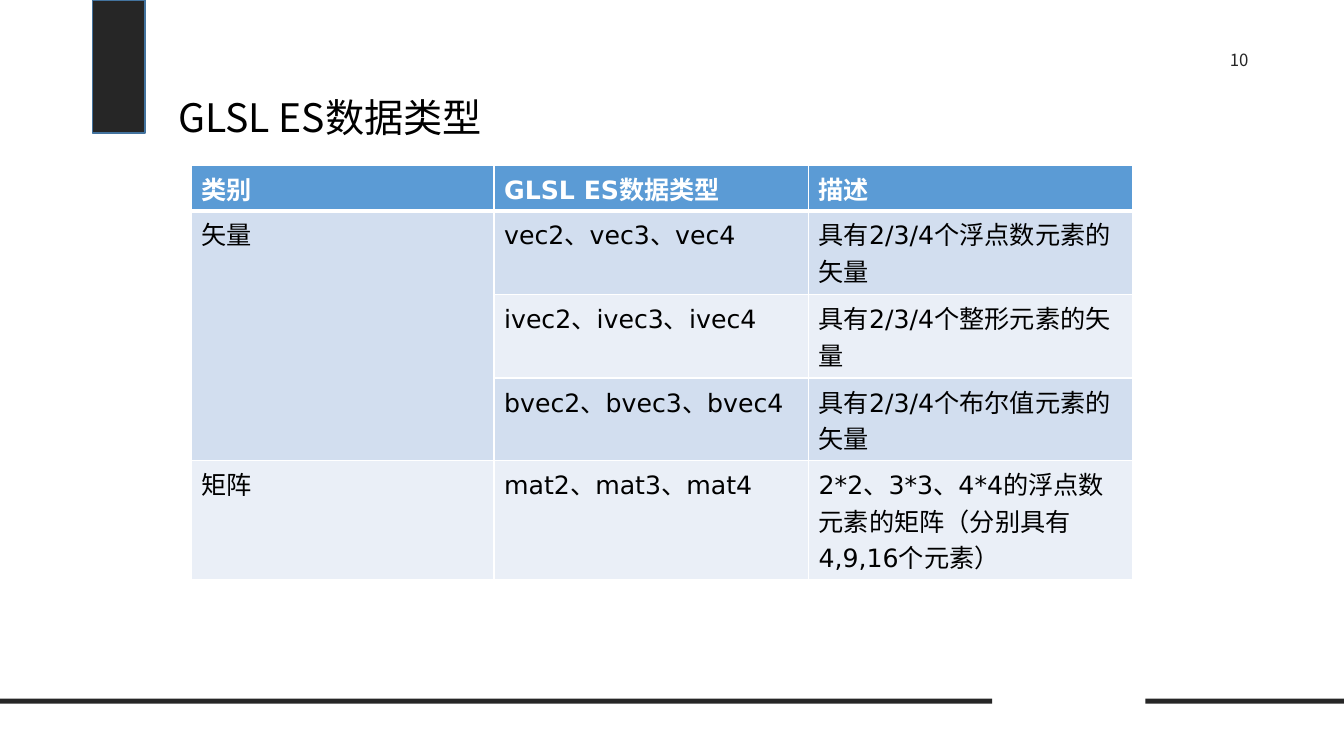
from lxml import etree
from pptx import Presentation
from pptx.dml.color import RGBColor
from pptx.enum import shapes, text
from pptx.oxml.ns import qn
from pptx.util import Inches, Pt

DARK = RGBColor(0x26, 0x26, 0x26)
TAB_EDGE = RGBColor(0x43, 0x73, 0x9E)
BLACK = RGBColor(0, 0, 0)
WHITE = RGBColor(0xFF, 0xFF, 0xFF)
HEADER = RGBColor(0x5B, 0x9B, 0xD5)
BANDS = (RGBColor(0xD2, 0xDE, 0xEF), RGBColor(0xEA, 0xEF, 0xF7))

CHINESE_FONT = "Noto Sans CJK SC"
TABLE_FONT = "DejaVu Sans"

COLUMN_WIDTHS = (3, 3.12, 3.21)
ROW_HEIGHTS = (0.45, 0.83, 0.83, 0.82, 1.18)
ROWS = (
    ("类别", "GLSL ES数据类型", "描述"),
    ("矢量", "vec2、vec3、vec4", "具有2/3/4个浮点数元素的矢量"),
    ("", "ivec2、ivec3、ivec4", "具有2/3/4个整形元素的矢量"),
    ("", "bvec2、bvec3、bvec4", "具有2/3/4个布尔值元素的矢量"),
    ("矩阵", "mat2、mat3、mat4",
     "2*2、3*3、4*4的浮点数元素的矩阵（分别具有4,9,16个元素）"),
)


def write(frame, words, font, size, color, bold=False,
          align=text.PP_ALIGN.LEFT, spacing=None):
    """Write one paragraph; font sets Latin text, Chinese has its own font."""
    para = frame.paragraphs[0]
    para.alignment = align
    para.line_spacing = spacing
    span = para.add_run()
    span.text = words
    span.font.name = font
    span.font.size = Pt(size)
    span.font.bold = bold
    span.font.color.rgb = color
    east_asian = etree.Element(qn("a:ea"), typeface=CHINESE_FONT)
    span.font._element.find(qn("a:latin")).addnext(east_asian)


def add_bar(page, left, top, width, height, edge=None):
    bar = page.shapes.add_shape(
        shapes.MSO_SHAPE.RECTANGLE,
        Inches(left), Inches(top), Inches(width), Inches(height))
    bar.shadow.inherit = False
    bar.fill.solid()
    bar.fill.fore_color.rgb = DARK
    if edge is None:
        bar.line.fill.background()
    else:
        bar.line.color.rgb = edge
        bar.line.width = Pt(1)


def add_label(page, left, top, width, height, words, anchor, wrap=True,
              **style):
    box = page.shapes.add_textbox(
        Inches(left), Inches(top), Inches(width), Inches(height))
    box.text_frame.word_wrap = wrap
    box.text_frame.vertical_anchor = anchor
    write(box.text_frame, words, **style)


def set_borders(cell, bottom):
    """Draw white cell borders, 1 pt except for the given bottom width."""
    properties = cell._tc.get_or_add_tcPr()
    sides = (("lnL", 1), ("lnR", 1), ("lnT", 1), ("lnB", bottom))
    for place, (side, width) in enumerate(sides):
        line = etree.Element(qn(f"a:{side}"), w=str(Pt(width)))
        fill = etree.SubElement(line, qn("a:solidFill"))
        etree.SubElement(fill, qn("a:srgbClr"), val=str(WHITE))
        properties.insert(place, line)


def add_type_table(page):
    frame = page.shapes.add_table(
        len(ROWS), len(COLUMN_WIDTHS), Inches(1.9), Inches(1.64),
        Inches(sum(COLUMN_WIDTHS)), Inches(sum(ROW_HEIGHTS)))
    table = frame.table
    for column, width in zip(table.columns, COLUMN_WIDTHS):
        column.width = Inches(width)
    for row, height in zip(table.rows, ROW_HEIGHTS):
        row.height = Inches(height)
    for r, row in enumerate(ROWS):
        is_header = r == 0
        for c, words in enumerate(row):
            cell = table.cell(r, c)
            cell.fill.solid()
            cell.fill.fore_color.rgb = (
                HEADER if is_header else BANDS[(r - 1) % 2])
            set_borders(cell, bottom=3 if is_header else 1)
            if words:
                write(cell.text_frame, words, TABLE_FONT, 18,
                      WHITE if is_header else BLACK, bold=is_header)
    table.cell(1, 0).merge(table.cell(3, 0))


def main():
    deck = Presentation()
    deck.slide_width = Inches(13.33)
    deck.slide_height = Inches(7.5)
    page = deck.slides.add_slide(deck.slide_layouts[6])

    add_bar(page, 0.92, 0, 0.52, 1.32, edge=TAB_EDGE)
    add_bar(page, 0, 6.93, 9.84, 0.05)
    add_bar(page, 11.36, 6.93, 1.97, 0.05)
    add_label(page, 11.84, 0.34, 0.9, 0.5, "10", text.MSO_ANCHOR.MIDDLE,
              wrap=False, font=CHINESE_FONT, size=12, color=DARK,
              align=text.PP_ALIGN.CENTER)
    add_label(page, 1.67, 0.62, 10, 0.83, "GLSL ES数据类型",
              text.MSO_ANCHOR.BOTTOM, font=CHINESE_FONT, size=28,
              color=BLACK, spacing=0.9)
    add_type_table(page)
    deck.save("out.pptx")


if __name__ == "__main__":
    main()
